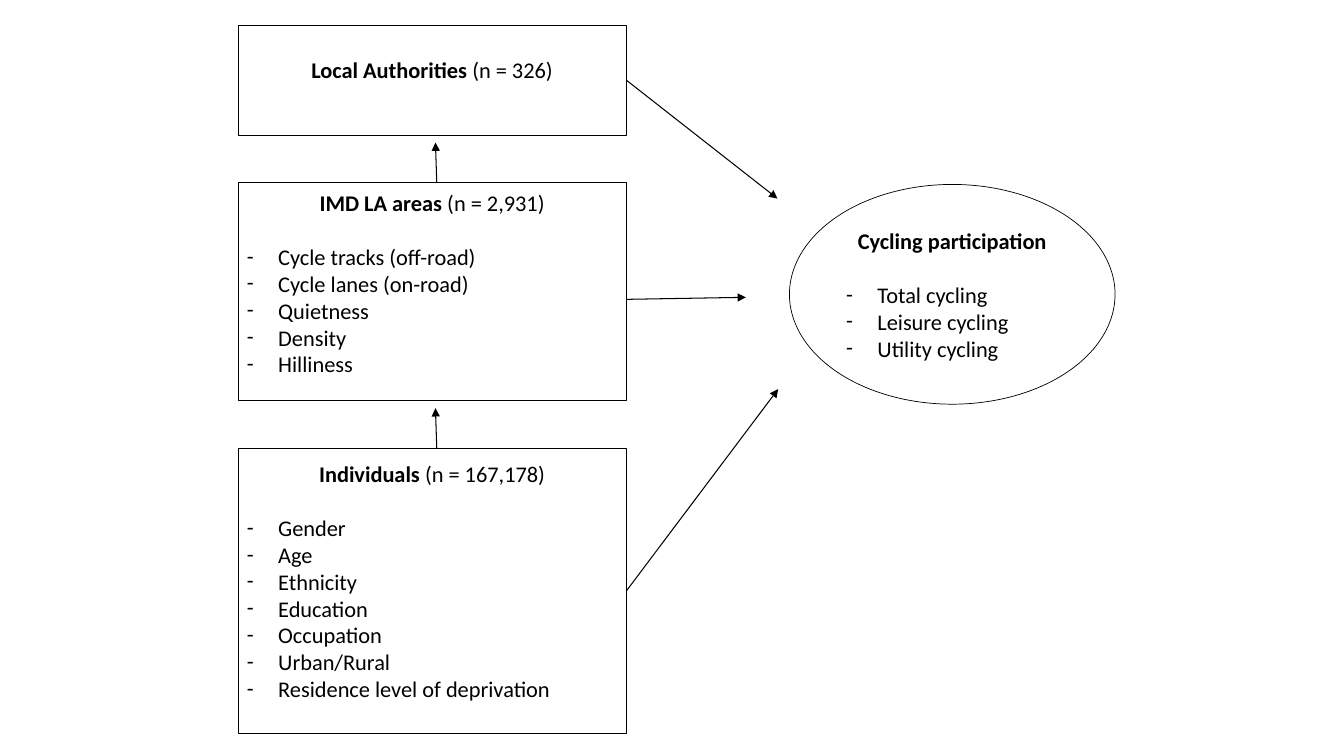
from lxml.etree import SubElement
from pptx import Presentation
from pptx.dml.color import RGBColor
from pptx.enum.shapes import MSO_CONNECTOR as Link, MSO_SHAPE as Kind
from pptx.enum.text import MSO_ANCHOR as Anchor, PP_ALIGN as Align
from pptx.oxml.ns import qn
from pptx.util import Inches, Pt

RIGHT = 3  # connection site


def color(code):
    return RGBColor.from_string(code)


class Chart:
    """Style and slide; places and sizes are percentages of the slide."""
    font, size = "Calibri", Pt(16)
    ink, paper = "000000", "FFFFFF"
    indent = Inches(0.31)

    def __init__(self, deck):
        self.wide, self.high = deck.slide_width, deck.slide_height
        self.slide = deck.slides.add_slide(deck.slide_layouts[6])

    def x(self, share):
        return round(self.wide * share / 100)

    def y(self, share):
        return round(self.high * share / 100)

    def style(self, para):
        para.font.name, para.font.size = self.font, self.size
        para.font.color.rgb = color(self.ink)

    def node(self, kind, place, lead, title, count="", items=()):
        """Draw an outlined box; lead is the space above its title."""
        left, top, wide, high = place
        box = self.slide.shapes.add_shape(
            kind, self.x(left), self.y(top), self.x(wide), self.y(high))
        box.shadow.inherit = False
        box.fill.solid()
        box.fill.fore_color.rgb = color(self.paper)
        box.line.color.rgb = color(self.ink)
        box.line.width = Pt(0.5)
        frame = box.text_frame
        frame.word_wrap = True
        frame.vertical_anchor = Anchor.TOP
        frame.margin_left = frame.margin_right = Inches(0.09)
        frame.margin_top, frame.margin_bottom = self.y(lead), Inches(0.04)
        head = frame.paragraphs[0]
        head.alignment = Align.CENTER
        if items:
            head.space_after = Pt(19.5)
        self.style(head)
        name = head.add_run()
        name.text, name.font.bold = title, True
        if count:
            head.add_run().text = f" (n = {count})"
        for item in items:
            self.bullet(frame.add_paragraph(), item)
        return box

    def bullet(self, para, text):
        para.text = text
        para.alignment = Align.LEFT
        props = para._p.get_or_add_pPr()
        props.set("marL", str(self.indent))
        props.set("indent", str(-self.indent))
        SubElement(props, qn("a:buFont")).set("typeface", self.font)
        SubElement(props, qn("a:buChar")).set("char", "-")
        self.style(para)

    def arrow(self, start, end, box=None, site=RIGHT):
        """Draw an arrow, joined to a side of box if one is given."""
        line = self.slide.shapes.add_connector(
            Link.STRAIGHT, self.x(start[0]), self.y(start[1]),
            self.x(end[0]), self.y(end[1]))
        if box is not None:
            line.begin_connect(box, site)
        line.line.color.rgb = color(self.ink)
        line.line.width = Pt(0.75)
        SubElement(line.line._get_or_add_ln(), qn("a:tailEnd")).set("type", "triangle")
        SubElement(line._element.spPr, qn("a:effectLst"))


LEVELS = [  # height, lead, title, count, items
    (14.53, 4.13, "Local Authorities", "326", []),
    (28.8, 0.8, "IMD LA areas", "2,931",
     ["Cycle tracks (off-road)", "Cycle lanes (on-road)", "Quietness",
      "Density", "Hilliness"]),
    (37.73, 1.53, "Individuals", "167,178",
     ["Gender", "Age", "Ethnicity", "Education", "Occupation",
      "Urban/Rural", "Residence level of deprivation"]),
]
LEFT, WIDE, GAP = 17.7, 28.9, 6.33


def main():
    deck = Presentation()
    deck.slide_width, deck.slide_height = Inches(13.33), Inches(7.5)
    chart = Chart(deck)
    top, boxes = 3.33, []
    for high, lead, title, count, items in LEVELS:
        if boxes:
            chart.arrow((32.5, top), (32.4, top - 5.33))
        boxes.append(chart.node(Kind.RECTANGLE, (LEFT, top, WIDE, high),
                                lead, title, count, items))
        top += high + GAP
    chart.node(Kind.OVAL, (58.74, 24.4, 24.23, 29.07), 1.35,
               "Cycling participation",
               items=["Total cycling", "Leisure cycling", "Utility cycling"])

    edge = LEFT + WIDE
    chart.arrow((edge, 10.6), (57.85, 26.27), boxes[0])
    chart.arrow((edge, 39.6), (55.5, 39.33))
    chart.arrow((edge, 78.2), (57.9, 51.47), boxes[2])
    deck.save("out.pptx")


if __name__ == "__main__":
    main()
